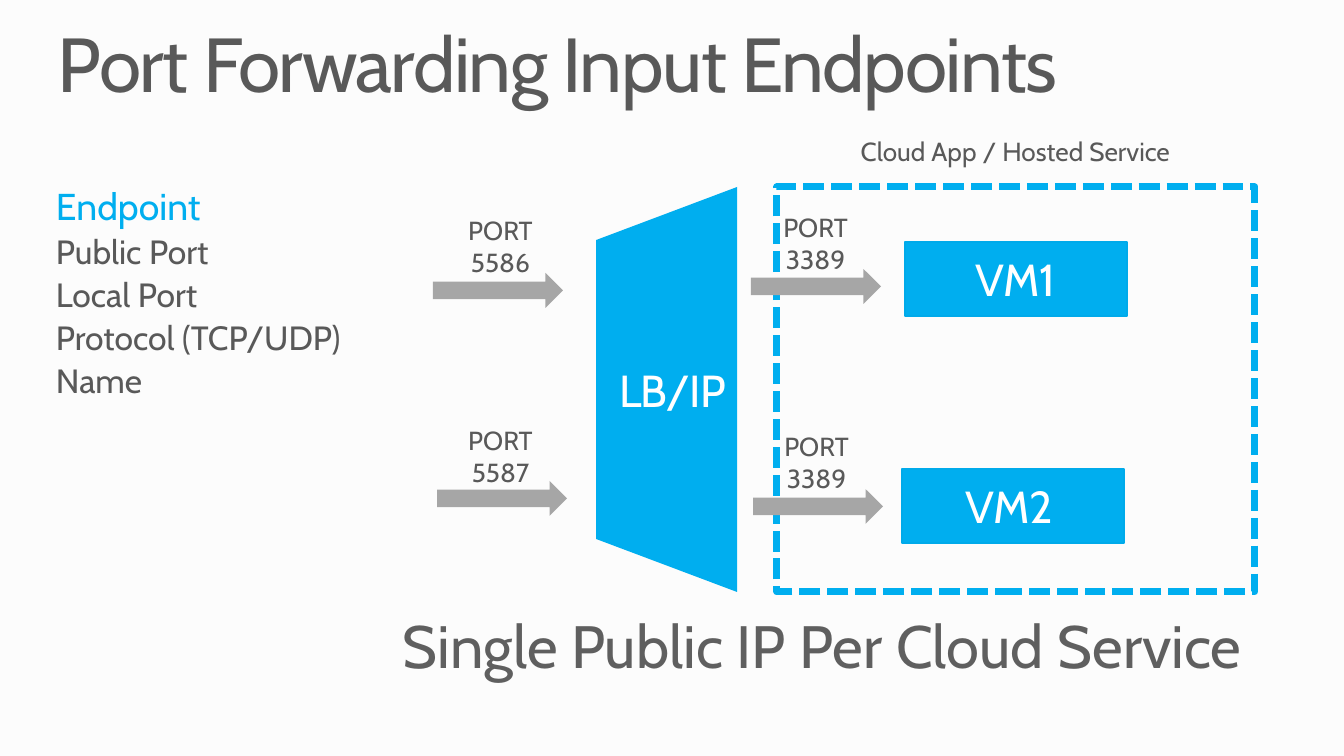
from dataclasses import dataclass

from pptx import Presentation
from pptx.dml.color import RGBColor as Rgb
from pptx.enum.dml import MSO_LINE as Dash
from pptx.enum.shapes import MSO_SHAPE as Kind
from pptx.enum.text import MSO_ANCHOR as Anchor, PP_ALIGN as Align
from pptx.util import Pt

SCALE = 914400 / 134.4  # EMU in one px


@dataclass(frozen=True)
class Theme:
    font: str = "Cabin"
    back: str = "FCFCFC"
    blue: str = "00AEEF"
    edge: str = "00AAEA"
    gray: str = "A6A6A6"
    dark: str = "595959"
    soft: str = "5F5F5F"
    white: str = "FFFFFF"
    title: float = 41
    foot: float = 32
    big: float = 24
    head: float = 20
    body: float = 18
    small: float = 14


THEME = Theme()


def px(num):
    return round(num * SCALE)


def place(*box):
    return [px(num) for num in box]


def set_box(frame, side=0, rim=0, anchor=Anchor.TOP):
    frame.word_wrap = True
    frame.margin_left = frame.margin_right = px(side)
    frame.margin_top = frame.margin_bottom = px(rim)
    frame.vertical_anchor = anchor


def add_run(para, text, size, color, space=0):
    run = para.add_run()
    run.text = text
    font = run.font
    font.name, font.size = THEME.font, Pt(size)
    font.color.rgb = Rgb.from_string(color)
    if space:
        run._r.get_or_add_rPr().set("spc", str(space))


def add_text(slide, box, rows, space=0):
    """Left-aligned lines; each row is (text, size, color)."""
    frame = slide.shapes.add_textbox(*place(*box)).text_frame
    set_box(frame)
    for pos, (text, size, color) in enumerate(rows):
        para = frame.paragraphs[0] if pos == 0 else frame.add_paragraph()
        para.line_spacing = 0.9
        if pos:
            para.space_before = Pt(size * 0.2)
        add_run(para, text, size, color, space)


def add_label(slide, box, text, size, color, side=7):
    """One centred label."""
    frame = slide.shapes.add_textbox(*place(*box)).text_frame
    set_box(frame, side, 7, Anchor.MIDDLE)
    para = frame.paragraphs[0]
    para.alignment = Align.CENTER
    add_run(para, text, size, color)


def add_form(slide, kind, box, fill=None, line=None, width=0.75):
    form = slide.shapes.add_shape(kind, *place(*box))
    form.shadow.inherit = False
    if fill:
        form.fill.solid()
        form.fill.fore_color.rgb = Rgb.from_string(fill)
    else:
        form.fill.background()
    if line:
        form.line.color.rgb = Rgb.from_string(line)
        form.line.width = Pt(width)
    else:
        form.line.fill.background()
    return form


def add_vm(slide, left, top, name, inset):
    add_form(slide, Kind.RECTANGLE, (left, top, 222, 74), THEME.blue, THEME.edge)
    add_label(slide, (left + inset, top + 11, 192, 52), name,
              THEME.big, THEME.white, 0)


def add_port(slide, arrow, label, port):
    add_form(slide, Kind.RIGHT_ARROW, (*arrow, 130, 35), THEME.gray)
    # Wide side margins put the number below the word
    add_label(slide, (*label, 141, 46), f"PORT {port}",
              THEME.small, THEME.dark, 28)


def add_lb(slide):
    form = add_form(slide, Kind.TRAPEZOID, (464, 319, 405, 141), THEME.blue)
    form.rotation = 270
    form.adjustments[0] = 0.376
    frame = form.text_frame
    set_box(frame, 5, 5, Anchor.MIDDLE)
    frame._txBody.bodyPr.set("vert", "vert")
    para = frame.paragraphs[0]
    para.alignment = Align.CENTER
    add_run(para, "LB/IP", THEME.big, THEME.white, -40)


def main():
    deck = Presentation()
    deck.slide_width, deck.slide_height = place(1344, 756)
    slide = deck.slides.add_slide(deck.slide_layouts[6])
    back = slide.background.fill
    back.solid()
    back.fore_color.rgb = Rgb.from_string(THEME.back)

    # Service frame and title
    frame = add_form(slide, Kind.RECTANGLE, (777, 187, 478, 405),
                     line=THEME.blue, width=3.75)
    frame.line.dash_style = Dash.SQUARE_DOT
    add_text(slide, (58, 26, 1230, 83),
             [("Port Forwarding Input Endpoints", THEME.title, THEME.dark)], -80)

    # Load balancer and machines
    add_vm(slide, 902, 469, "VM2", 11)
    add_lb(slide)
    add_vm(slide, 905, 242, "VM1", 14)

    # Ports in and out
    ports = [
        ((751, 269), (745, 220), 3389),
        ((433, 273), (430, 223), 5586),
        ((437, 481), (430, 433), 5587),
        ((753, 489), (746, 439), 3389),
    ]
    for arrow, label, port in ports:
        add_port(slide, arrow, label, port)

    # Captions
    add_text(slide, (403, 617, 886, 65),
             [("Single Public IP Per Cloud Service", THEME.foot, THEME.soft)])
    add_label(slide, (845, 128, 341, 46), "Cloud App / Hosted Service",
              THEME.small, THEME.dark)

    # Endpoint fields
    names = ["Public Port", "Local Port", "Protocol (TCP/UDP)", "Name"]
    rows = [(name, THEME.body, THEME.dark) for name in names]
    add_text(slide, (56, 188, 290, 220),
             [("Endpoint", THEME.head, THEME.blue), *rows])

    deck.save("out.pptx")


if __name__ == "__main__":
    main()
